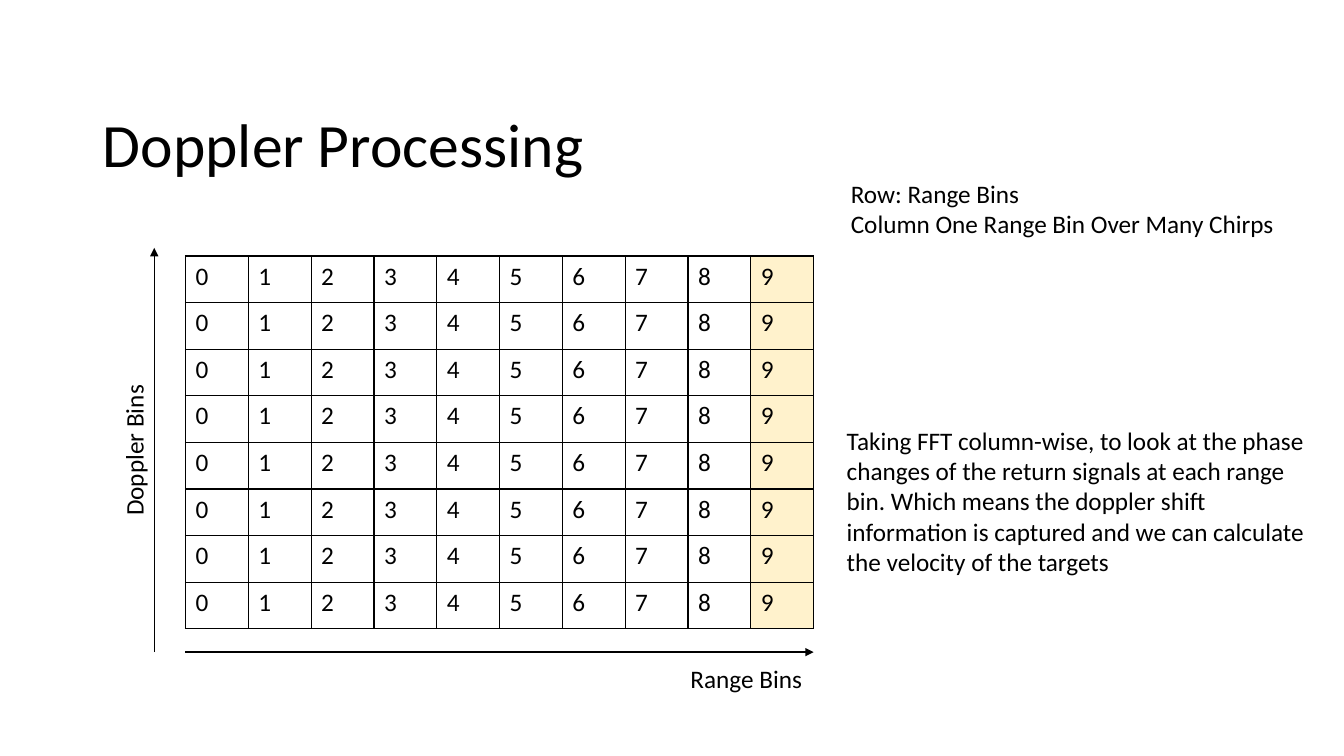
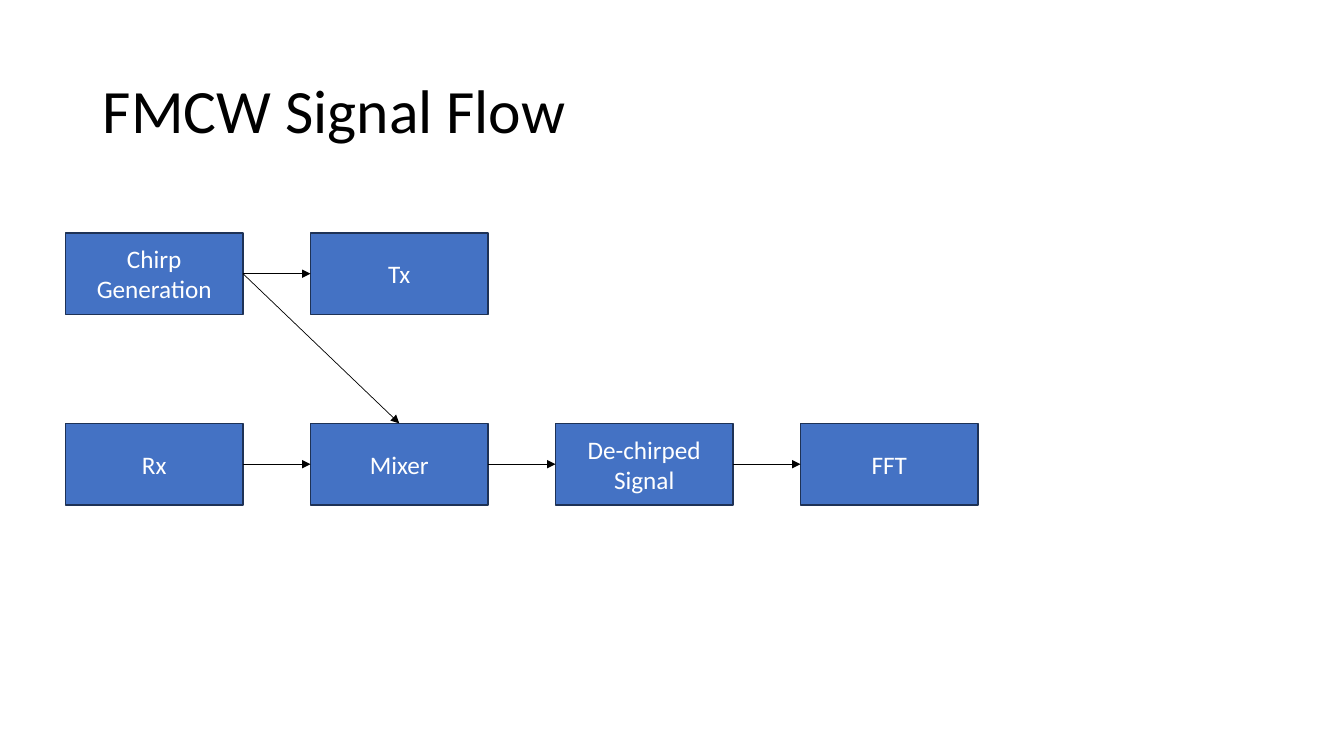
from lxml.etree import SubElement
from pptx import Presentation
from pptx.dml.color import RGBColor
from pptx.enum.shapes import MSO_CONNECTOR, MSO_SHAPE
from pptx.enum.text import MSO_ANCHOR, MSO_AUTO_SIZE, PP_ALIGN
from pptx.oxml.ns import qn
from pptx.util import Inches, Pt

FONT = "Calibri"
BLACK = RGBColor(0x00, 0x00, 0x00)
WHITE = RGBColor(0xFF, 0xFF, 0xFF)
BLUE = RGBColor(0x44, 0x72, 0xC4)
NAVY = RGBColor(0x1E, 0x32, 0x56)
CREAM = RGBColor(0xFF, 0xF2, 0xCC)

RANGE_BINS, DOPPLER_BINS = 10, 8
GRID_LEFT, GRID_TOP, GRID_WIDTH, GRID_HEIGHT = 1.84, 2.54, 6.23, 3.7
AXIS_LEFT, AXIS_BOTTOM, AXIS_TOP = 1.53, 6.47, 2.46

BLOCK_LEFT, BLOCK_PITCH = 0.65, 2.43
BLOCK_WIDTH, BLOCK_HEIGHT = 1.76, 0.81
TRANSMIT_TOP, RECEIVE_TOP = 2.31, 4.2
TOP_SITE, LEFT_SITE, RIGHT_SITE = 0, 1, 3


def style_paragraph(paragraph, size=18, color=BLACK, alignment=PP_ALIGN.LEFT):
    """Apply the deck's font to one paragraph."""
    paragraph.font.name = FONT
    paragraph.font.size = Pt(size)
    paragraph.font.color.rgb = color
    paragraph.alignment = alignment


def add_titled_slide(presentation, title, top_inset=0.05):
    """Add a title-only slide with the shared title style."""
    slide = presentation.slides.add_slide(presentation.slide_layouts[5])
    shape = slide.shapes.title
    shape.left, shape.top = Inches(0.92), Inches(0.4)
    shape.width, shape.height = Inches(11.5), Inches(1.45)
    frame = shape.text_frame
    frame.text = title
    frame.vertical_anchor = MSO_ANCHOR.MIDDLE
    frame.margin_top = Inches(top_inset)
    style_paragraph(frame.paragraphs[0], size=44)
    frame.paragraphs[0].line_spacing = 0.9
    return slide


def add_label(slide, text, left, top, width, height, wrap=False, rotation=0):
    """Add a plain text box, one paragraph per line of text."""
    box = slide.shapes.add_textbox(
        Inches(left), Inches(top), Inches(width), Inches(height))
    box.rotation = rotation
    frame = box.text_frame
    frame.text = text
    frame.word_wrap = wrap
    frame.auto_size = MSO_AUTO_SIZE.SHAPE_TO_FIT_TEXT
    for paragraph in frame.paragraphs:
        style_paragraph(paragraph)


def add_arrow(slide, start=(0, 0), end=(0, 0), width=1):
    """Add a straight black arrow between two points."""
    arrow = slide.shapes.add_connector(
        MSO_CONNECTOR.STRAIGHT, *map(Inches, (*start, *end)))
    arrow.line.color.rgb = BLACK
    arrow.line.width = Pt(width)
    properties = arrow.element.spPr
    SubElement(properties.find(qn("a:ln")), qn("a:tailEnd"), type="triangle")
    SubElement(properties, qn("a:effectLst"))
    return arrow


def add_cell_borders(cell):
    """Draw thin black lines on all four sides of a table cell."""
    properties = cell._tc.get_or_add_tcPr()
    for side in ("a:lnL", "a:lnR", "a:lnT", "a:lnB"):
        line = SubElement(properties, qn(side), w=str(Pt(1)))
        fill = SubElement(line, qn("a:solidFill"))
        SubElement(fill, qn("a:srgbClr"), val=str(BLACK))


def add_bin_grid(slide):
    """Add the range-Doppler table with its last column highlighted."""
    table = slide.shapes.add_table(
        DOPPLER_BINS, RANGE_BINS, Inches(GRID_LEFT), Inches(GRID_TOP),
        Inches(GRID_WIDTH), Inches(GRID_HEIGHT)).table
    table.first_row = table.horz_banding = False
    for row in table.rows:
        for number, cell in enumerate(row.cells):
            cell.text = str(number)
            style_paragraph(cell.text_frame.paragraphs[0])
            add_cell_borders(cell)
            if number == RANGE_BINS - 1:
                cell.fill.solid()
                cell.fill.fore_color.rgb = CREAM
            else:
                cell.fill.background()


def add_block(slide, text, column, top):
    """Add one block of the signal flow in the given column."""
    block = slide.shapes.add_shape(
        MSO_SHAPE.RECTANGLE, Inches(BLOCK_LEFT + column * BLOCK_PITCH),
        Inches(top), Inches(BLOCK_WIDTH), Inches(BLOCK_HEIGHT))
    block.shadow.inherit = False
    block.fill.solid()
    block.fill.fore_color.rgb = BLUE
    block.line.color.rgb = NAVY
    block.line.width = Pt(1)
    frame = block.text_frame
    frame.text = text
    frame.vertical_anchor = MSO_ANCHOR.MIDDLE
    style_paragraph(frame.paragraphs[0], color=WHITE, alignment=PP_ALIGN.CENTER)
    return block


def link_blocks(slide, source, target, target_site=LEFT_SITE):
    """Connect the right side of one block to another block."""
    arrow = add_arrow(slide, width=0.5)
    arrow.begin_connect(source, RIGHT_SITE)
    arrow.end_connect(target, target_site)


def add_block_row(slide, texts, top):
    """Add a row of blocks, each linked to the next."""
    blocks = [add_block(slide, text, column, top)
              for column, text in enumerate(texts)]
    for source, target in zip(blocks, blocks[1:]):
        link_blocks(slide, source, target)
    return blocks


def build_doppler_slide(presentation):
    """Build the slide that explains Doppler processing."""
    slide = add_titled_slide(presentation, "Doppler Processing", top_inset=0.72)
    add_bin_grid(slide)
    add_arrow(slide, (GRID_LEFT, AXIS_BOTTOM),
              (GRID_LEFT + GRID_WIDTH, AXIS_BOTTOM))
    add_label(slide, "Range Bins", 6.75, 6.53, 1.32, 0.4)
    add_arrow(slide, (AXIS_LEFT, AXIS_BOTTOM), (AXIS_LEFT, AXIS_TOP))
    add_label(slide, "Doppler Bins", 0.57, 4.26, 1.51, 0.4, rotation=270)
    add_label(slide, "Row: Range Bins\nColumn One Range Bin Over Many Chirps",
              8.34, 1.72, 4.45, 0.71)
    add_label(slide, "Taking FFT column-wise, to look at the phase changes of "
              "the return signals at each range bin. Which means the doppler "
              "shift information is captured and we can calculate the velocity "
              "of the targets", 8.3, 4.17, 4.77, 1.62, wrap=True)


def build_flow_slide(presentation):
    """Build the FMCW signal flow diagram."""
    slide = add_titled_slide(presentation, "FMCW Signal Flow")
    generation, _ = add_block_row(
        slide, ["Chirp Generation", "Tx"], TRANSMIT_TOP)
    _, mixer, *_ = add_block_row(
        slide, ["Rx", "Mixer", "De-chirped Signal", "FFT"], RECEIVE_TOP)
    link_blocks(slide, generation, mixer, TOP_SITE)


def main():
    """Build and save the presentation."""
    presentation = Presentation()
    presentation.slide_width = Inches(13.33)
    presentation.slide_height = Inches(7.5)
    build_doppler_slide(presentation)
    build_flow_slide(presentation)
    presentation.save("out.pptx")


if __name__ == "__main__":
    main()
